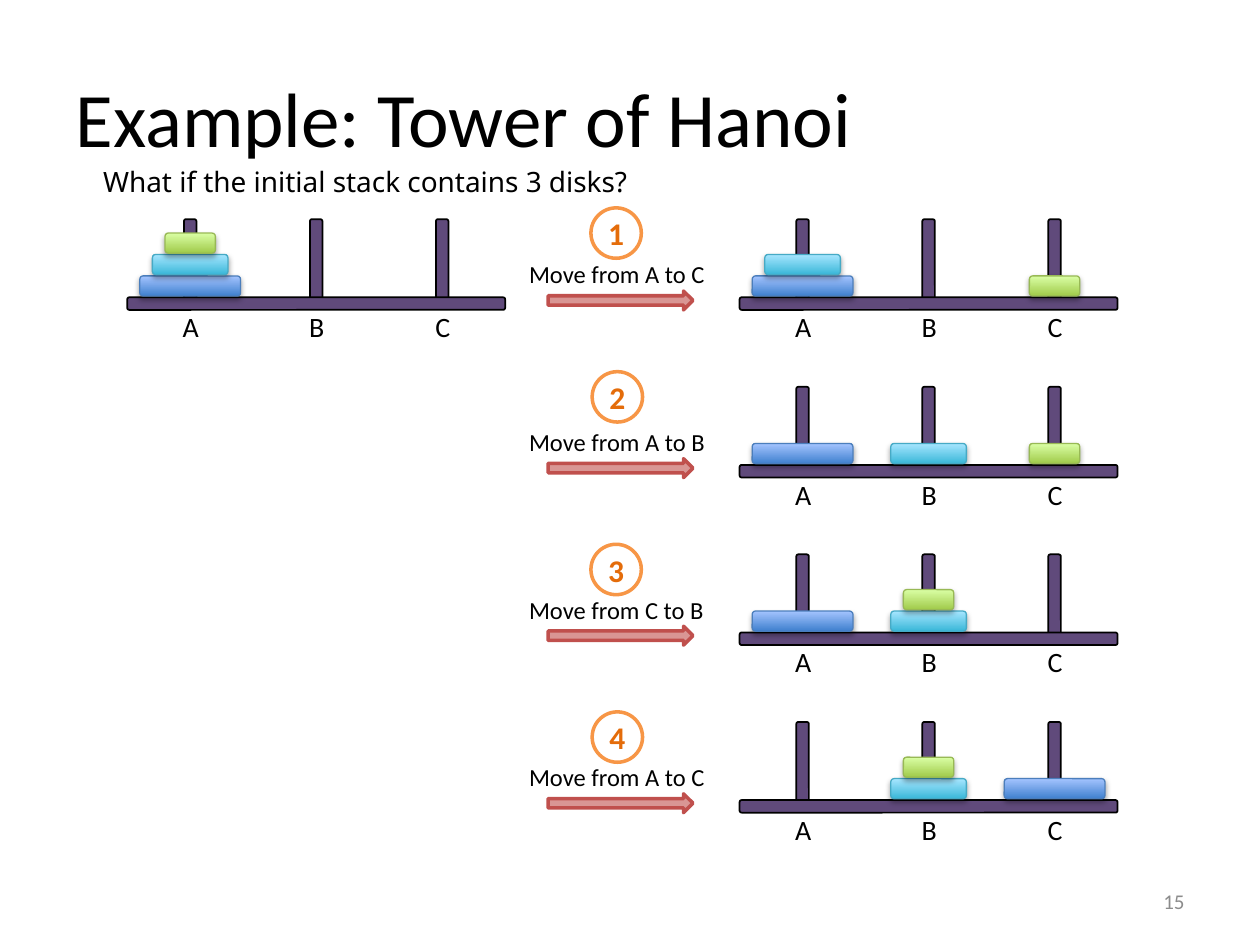
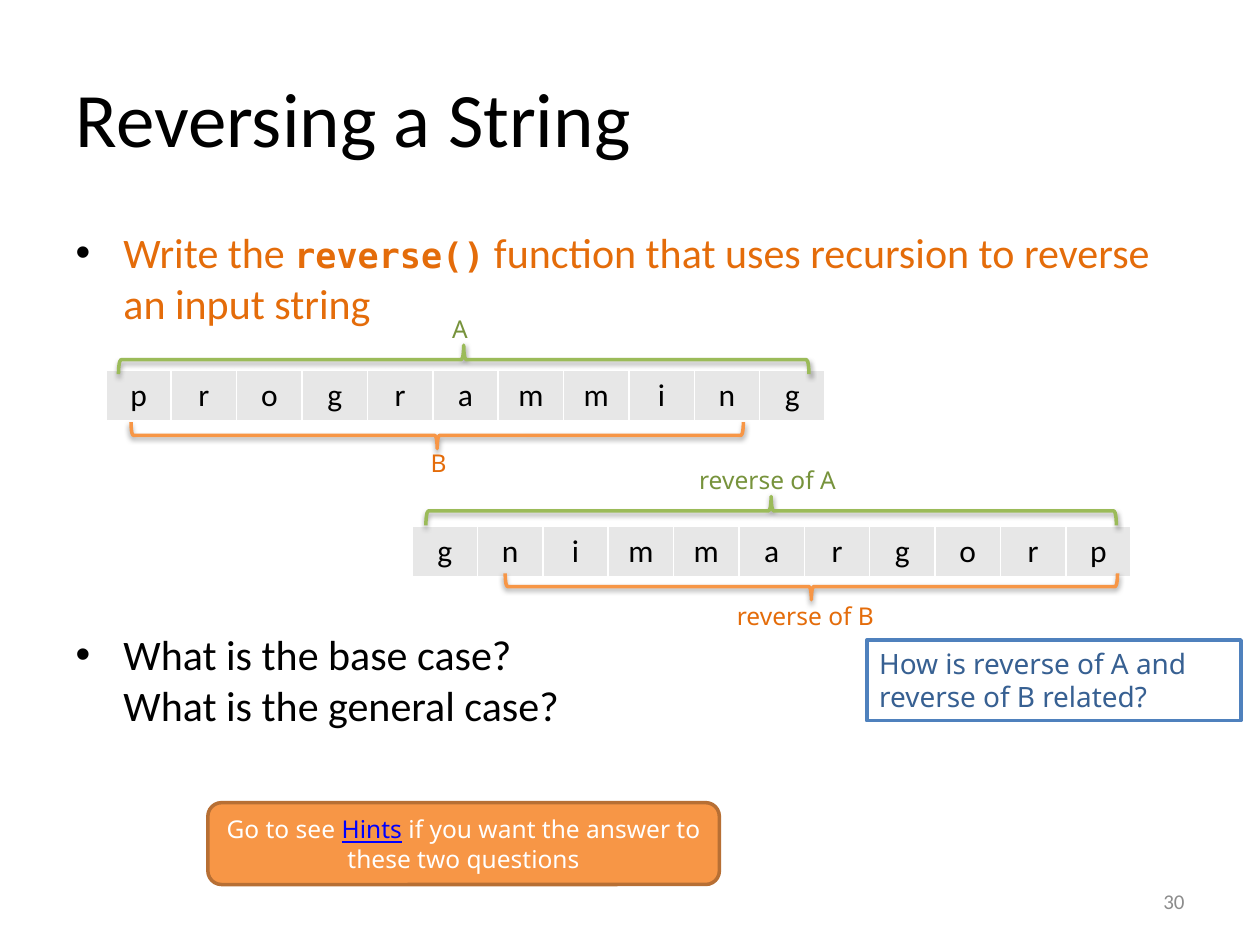
from pptx import Presentation
from pptx import util as u
from pptx.dml.color import RGBColor
from pptx.enum import shapes, text
from pptx.oxml import ns, xmlchemy
from lxml import etree

Inches, Pt = u.Inches, u.Pt
SHAPE, ALIGN, ANCHOR = shapes.MSO_SHAPE, text.PP_ALIGN, text.MSO_ANCHOR

# ---- shared look ----
SANS, NOTO, MONO = "Calibri", "Noto Sans", "DejaVu Sans Mono"
BLACK, WHITE, GREY = "000000", "FFFFFF", "8C8C8C"
ORANGE, ORANGE_TEXT = "F79646", "E46C0A"
GREEN, GREEN_TEXT = "9BBB59", "77933C"
PURPLE, CELL = "604A7B", "E7E7E7"

# ---- Tower of Hanoi: disks per peg, listed from the bottom up ----
HANOI_TITLE = "Example: Tower of Hanoi"
HANOI_QUESTION = "What if the initial stack contains 3 disks?"
PEGS = "ABC"
DISKS = {  # width, dark, light, outline
    "large": (0.8, "3F80CE", "A4C4FF", "4B7EBC"),
    "medium": (0.6, "39B7D8", "A7E6FF", "46AAC5"),
    "small": (0.4, "A0CA4A", "DAFFA5", "98B955"),
}
START = (("large", "medium", "small"), (), ())
MOVES = [  # caption, badge left, badge top, resulting state
    ("Move from A to C", 4.69, 1.65, (("large", "medium"), (), ("small",))),
    ("Move from A to B", 4.7, 2.95, (("large",), ("medium",), ("small",))),
    ("Move from C to B", 4.69, 4.32, (("large",), ("medium", "small"), ())),
    ("Move from A to C", 4.7, 5.65, ((), ("medium", "small"), ("large",))),
]
START_X, RESULT_X = 1.01, 5.87
FIRST_BASE_Y, ROW_STEP, DISK_STEP = 2.36, 1.33, 0.17

# ---- Reversing a string ----
REVERSE_TITLE = "Reversing a String"
TASK = [("Write the ", SANS, 24, False), ("reverse()", MONO, 20, True),
        (" function that uses recursion to reverse an input string", SANS, 24, False)]
QUESTIONS = "What is the base case? \vWhat is the general case?"
WORD = "programming"
WORD_ROWS = [(WORD, 0.84, 2.94), (WORD[::-1], 3.27, 4.18)]
BRACES = [  # left, top, width, height, rotation, colour
    (0.94, 2.74, 5.48, 0.23, 90, GREEN),
    (1.04, 3.35, 4.86, 0.21, 270, ORANGE),
    (3.38, 3.94, 5.48, 0.23, 90, GREEN),
    (4.01, 4.55, 4.86, 0.21, 270, ORANGE),
]
BRACE_LABELS = [
    ("A", 3.49, 2.44, 0.36, GREEN_TEXT), ("B", 3.32, 3.51, 0.36, ORANGE_TEXT),
    ("reverse of A", 5.45, 3.64, 1.44, GREEN_TEXT),
    ("reverse of B", 5.75, 4.72, 1.43, ORANGE_TEXT),
]
RELATION = "How is reverse of A and reverse of B related?"
HINT = [("Go to see ", WHITE, False), ("Hints", "0000FF", True),
        (" if you want the answer to these two questions", WHITE, False)]


def rgb(value):
    """Turn a hex string into a colour."""
    return RGBColor.from_string(value)


def set_font(font, size, color, name=SANS, bold=False):
    """Format a paragraph or run font."""
    font.size, font.name, font.bold = Pt(size), name, bold
    font.color.rgb = rgb(color)


def write(sp, content, size, color, name=SANS, bold=False, align=ALIGN.LEFT,
          anchor=ANCHOR.TOP, wrap=True):
    """Put one evenly formatted paragraph into a shape and return its frame."""
    tf = sp.text_frame
    tf.word_wrap, tf.vertical_anchor = wrap, anchor
    p = tf.paragraphs[0]
    p.text, p.alignment = content, align
    set_font(p.font, size, color, name, bold)
    return tf


def add_label(parent, content, x, y, w, h, size, color=BLACK, **style):
    """Add a text box."""
    sp = parent.shapes.add_textbox(*map(Inches, (x, y, w, h)))
    write(sp, content, size, color, **style)
    return sp


def add_shape(parent, kind, x, y, w, h, fill=None, line=None, width=1):
    """Add a preset shape with a plain fill and outline and no shadow."""
    sp = parent.shapes.add_shape(kind, *map(Inches, (x, y, w, h)))
    sp.shadow.inherit = False
    if fill:
        sp.fill.solid()
        sp.fill.fore_color.rgb = rgb(fill)
    else:
        sp.fill.background()
    if line:
        sp.line.color.rgb = rgb(line)
        sp.line.width = Pt(width)
    else:
        sp.line.fill.background()
    return sp


def add_shadow(sp, opacity, distance):
    """Cast a soft black shadow straight down."""
    effects = sp._element.spPr.find(ns.qn("a:effectLst"))
    shadow = etree.SubElement(effects, ns.qn("a:outerShdw"), blurRad=str(Pt(3.1)),
                              dist=str(Pt(distance)), dir="5400000", rotWithShape="0")
    color = etree.SubElement(shadow, ns.qn("a:srgbClr"), val=BLACK)
    etree.SubElement(color, ns.qn("a:alpha"), val=str(opacity * 1000))


def add_slide(prs, layout, title, number):
    """Add a slide with its title and page number."""
    s = prs.slides.add_slide(prs.slide_layouts[layout])
    sp = s.shapes.title
    sp.left, sp.top, sp.width, sp.height = map(Inches, (0.5, 0.3, 9, 1.25))
    write(sp, title, 44, BLACK, anchor=ANCHOR.MIDDLE)
    add_label(s, str(number), 7.17, 6.95, 2.33, 0.4, 12, GREY,
              align=ALIGN.RIGHT, anchor=ANCHOR.MIDDLE)
    return s


def add_disk(parent, name, center, y):
    """Add one disk centred on a peg."""
    w, dark, light, outline = DISKS[name]
    sp = add_shape(parent, SHAPE.ROUNDED_RECTANGLE, center - w / 2, y, w, 0.16,
                   dark, outline, 0.75)
    sp.fill.gradient()
    sp.fill.gradient_angle = 90
    for stop, color in zip(sp.fill.gradient_stops, (dark, light)):
        stop.color.rgb = rgb(color)
    add_shadow(sp, 35, 1.8)


def add_towers(parent, x, base_y, state):
    """Draw three pegs on a base, with their letters and disks."""
    centers = [x + 0.5 + i for i in range(len(PEGS))]
    for letter, center in zip(PEGS, centers):
        add_shape(parent, SHAPE.ROUNDED_RECTANGLE, center - 0.05, base_y - 0.62,
                  0.1, 0.7, PURPLE, BLACK)
        add_label(parent, letter, center - 0.16, base_y + 0.05, 0.33, 0.37, 16,
                  align=ALIGN.CENTER, wrap=False)
    add_shape(parent, SHAPE.ROUNDED_RECTANGLE, x, base_y, 3, 0.1, PURPLE, BLACK)
    for center, stack in zip(centers, state):
        for level, name in enumerate(stack, 1):
            add_disk(parent, name, center, base_y - level * DISK_STEP)


def add_word(s, word, x, y):
    """Spell a word in a one-row table."""
    table = s.shapes.add_table(1, len(word), *map(Inches, (x, y, 5.71, 0.39))).table
    table.first_row = table.horz_banding = False
    for cell, letter in zip(table.rows[0].cells, word):
        cell.fill.solid()
        cell.fill.fore_color.rgb = rgb(CELL)
        write(cell, letter, 18, BLACK, align=ALIGN.CENTER)


def add_brace(s, x, y, w, h, rotation, color):
    """Add a horizontal brace: 90 points up, 270 points down."""
    sp = add_shape(s, SHAPE.LEFT_BRACE, x + (w - h) / 2, y + (h - w) / 2, h, w,
                   None, color, 2)
    sp.rotation = rotation
    add_shadow(sp, 38, 1.6)


def hanoi_slide(prs):
    """Build the slide with the four moves."""
    s = add_slide(prs, 5, HANOI_TITLE, 15)
    sp = add_shape(s, SHAPE.RECTANGLE, 0.72, 1.26, 4.92, 0.37, WHITE)
    write(sp, HANOI_QUESTION, 16, BLACK, NOTO, wrap=False)
    add_towers(s.shapes.add_group_shape(), START_X, FIRST_BASE_Y, START)
    for i, (caption, badge_x, badge_y, state) in enumerate(MOVES):
        base_y = FIRST_BASE_Y + i * ROW_STEP
        group = s.shapes.add_group_shape()
        add_shape(group, SHAPE.RIGHT_ARROW, 4.35, base_y - 0.05, 1.15, 0.15,
                  "D99694", "C0504D", 2)
        add_label(group, caption, 4.1, base_y - 0.35, 1.61, 0.34, 14, wrap=False)
        add_towers(group, RESULT_X, base_y, state)
        badge = add_shape(s, SHAPE.OVAL, badge_x, badge_y, 0.4, 0.4, None, ORANGE, 2)
        tf = write(badge, str(i + 1), 18, ORANGE_TEXT, bold=True, align=ALIGN.CENTER,
                   anchor=ANCHOR.MIDDLE, wrap=False)
        tf.margin_left = tf.margin_right = tf.margin_top = tf.margin_bottom = 0


def fill_body(sp):
    """Write the task and, further down, the two questions."""
    sp.left, sp.top, sp.width, sp.height = map(Inches, (0.5, 1.75, 9, 4.95))
    tf = sp.text_frame
    tf.auto_size = text.MSO_AUTO_SIZE.NONE
    task, questions = tf.paragraphs[0], tf.add_paragraph()
    for content, name, size, bold in TASK:
        r = task.add_run()
        r.text = content
        set_font(r.font, size, ORANGE_TEXT, name, bold)
    questions.text = QUESTIONS
    set_font(questions.font, 24, BLACK)
    for p, gap in ((task, 0), (questions, 172)):
        p.space_before = Pt(gap)
        pPr = p._p.get_or_add_pPr()
        pPr.set("marL", str(Inches(0.38)))
        pPr.set("indent", str(-Inches(0.38)))
        bullet_color = etree.Element(ns.qn("a:buClr"))
        etree.SubElement(bullet_color, ns.qn("a:srgbClr"), val=BLACK)
        bullet = etree.Element(ns.qn("a:buChar"), char="•")
        pPr.find(ns.qn("a:spcBef")).addnext(bullet_color)
        bullet_color.addnext(bullet)


def reverse_slide(prs):
    """Build the slide about reversing a string."""
    s = add_slide(prs, 1, REVERSE_TITLE, 30)
    fill_body(s.placeholders[1])
    for row in WORD_ROWS:
        add_word(s, *row)
    for brace in BRACES:
        add_brace(s, *brace)
    for content, x, y, w, color in BRACE_LABELS:
        add_label(s, content, x, y, w, 0.34, 14, color, name=NOTO, wrap=False)
    sp = add_shape(s, SHAPE.RECTANGLE, 6.88, 5.08, 2.97, 0.64, WHITE, "4F81BD", 2)
    write(sp, RELATION, 16, "376092", NOTO)
    sp = add_shape(s, SHAPE.ROUNDED_RECTANGLE, 1.65, 6.37, 4.06, 0.65,
                   ORANGE, "B76F34", 2)
    tf = write(sp, "", 14, WHITE, NOTO, align=ALIGN.CENTER, anchor=ANCHOR.MIDDLE)
    for content, color, underline in HINT:
        r = tf.paragraphs[0].add_run()
        r.text = content
        set_font(r.font, 14, color, NOTO)
        r.font.underline = underline


prs = Presentation()
prs.slide_width, prs.slide_height = Inches(10), Inches(7.5)
hanoi_slide(prs)
reverse_slide(prs)
prs.save("out.pptx")
